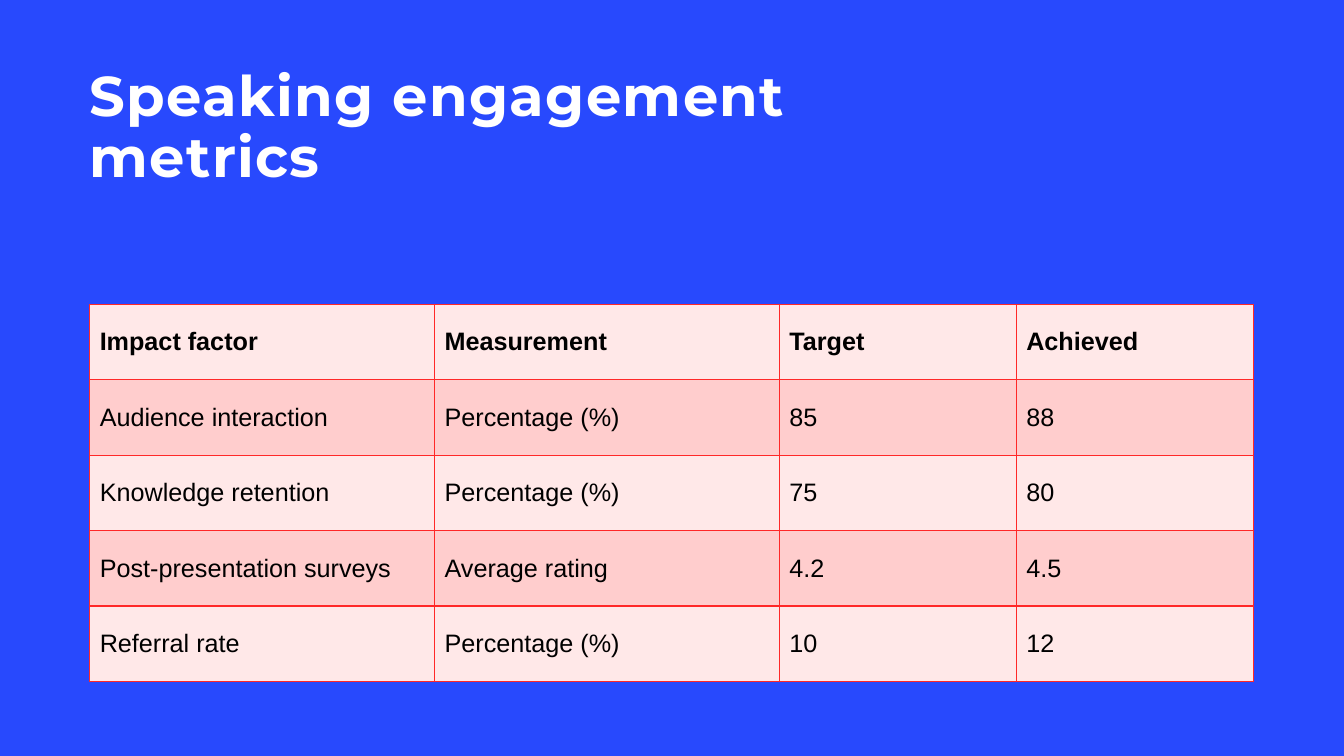
"""Build the speaking engagement metrics slide."""
import pptx
import pptx.dml.color
import pptx.enum.text
import pptx.oxml.ns
import pptx.util
from lxml import etree

Cm = pptx.util.Cm
Pt = pptx.util.Pt

BACKDROP = "2849FD"
HEADING_INK = "FFFFFF"
TABLE_INK = "000000"
RULE = "FF2828"
BANDS = ("FFE8E8", "FFCDCD")
LEFT_EDGE = Cm(2.26)
ROW_HEIGHT = Cm(1.9)
COLUMN_WIDTHS = (Cm(8.69), Cm(8.69), Cm(5.97), Cm(5.97))
METRICS = (
    ("Impact factor", "Measurement", "Target", "Achieved"),
    ("Audience interaction", "Percentage (%)", "85", "88"),
    ("Knowledge retention", "Percentage (%)", "75", "80"),
    ("Post-presentation surveys", "Average rating", "4.2", "4.5"),
    ("Referral rate", "Percentage (%)", "10", "12"),
)
HEADING_FONT = {"name": "Montserrat", "size": Pt(40), "bold": True}
TABLE_FONT = {"name": "Arial", "size": Pt(18)}
HEADING_FRAME = {
    "word_wrap": True,
    "vertical_anchor": pptx.enum.text.MSO_ANCHOR.TOP,
    "margin_left": 0,
    "margin_top": 0,
    "margin_right": 0,
    "margin_bottom": 0,
}


def apply_format(target, values):
    """Set each attribute named in values on target."""
    for name, value in values.items():
        setattr(target, name, value)


def paint(fill, color):
    """Make a fill solid in a hex colour."""
    fill.solid()
    fill.fore_color.rgb = pptx.dml.color.RGBColor.from_string(color)


def write_run(paragraph, wording, font_values, color):
    """Add one formatted run to a paragraph and return it."""
    run = paragraph.add_run()
    run.text = wording
    apply_format(run.font, font_values)
    paint(run.font.fill, color)
    return run


def add_heading(slide, wording):
    """Add the letter-spaced heading."""
    heading = slide.shapes.add_textbox(LEFT_EDGE, Cm(1.73), Cm(20.29), Cm(5.08))
    apply_format(heading.text_frame, HEADING_FRAME)
    paragraph = heading.text_frame.paragraphs[0]
    paragraph.line_spacing = 0.9
    run = write_run(paragraph, wording, HEADING_FONT, HEADING_INK)
    run.font._element.set("spc", "100")


def rule_cell(cell):
    """Draw a thin rule on all four sides of a cell."""
    qn = pptx.oxml.ns.qn
    properties = cell._tc.get_or_add_tcPr()
    for side in ("a:lnL", "a:lnR", "a:lnT", "a:lnB"):
        line = etree.SubElement(properties, qn(side), w=str(Pt(1)))
        solid = etree.SubElement(line, qn("a:solidFill"))
        etree.SubElement(solid, qn("a:srgbClr"), val=RULE)


def add_metrics_table(slide, metrics):
    """Add the banded table with a bold header row."""
    table = slide.shapes.add_table(
        len(metrics), len(COLUMN_WIDTHS), LEFT_EDGE, Cm(7.67),
        sum(COLUMN_WIDTHS), ROW_HEIGHT * len(metrics),
    ).table
    for column, width in zip(table.columns, COLUMN_WIDTHS):
        column.width = width
    for index, (row, entries) in enumerate(zip(table.rows, metrics)):
        row.height = ROW_HEIGHT
        font_values = {**TABLE_FONT, "bold": index == 0}
        for cell, entry in zip(row.cells, entries):
            cell.vertical_anchor = pptx.enum.text.MSO_ANCHOR.MIDDLE
            rule_cell(cell)
            paint(cell.fill, BANDS[index % 2])
            write_run(cell.text_frame.paragraphs[0], entry, font_values, TABLE_INK)


def main():
    """Assemble and save the slide."""
    deck = pptx.Presentation()
    apply_format(deck, {"slide_width": Cm(33.87), "slide_height": Cm(19.05)})
    slide = deck.slides.add_slide(deck.slide_layouts[6])
    paint(slide.background.fill, BACKDROP)
    add_heading(slide, "Speaking engagement metrics")
    add_metrics_table(slide, METRICS)
    deck.save("out.pptx")


if __name__ == "__main__":
    main()
